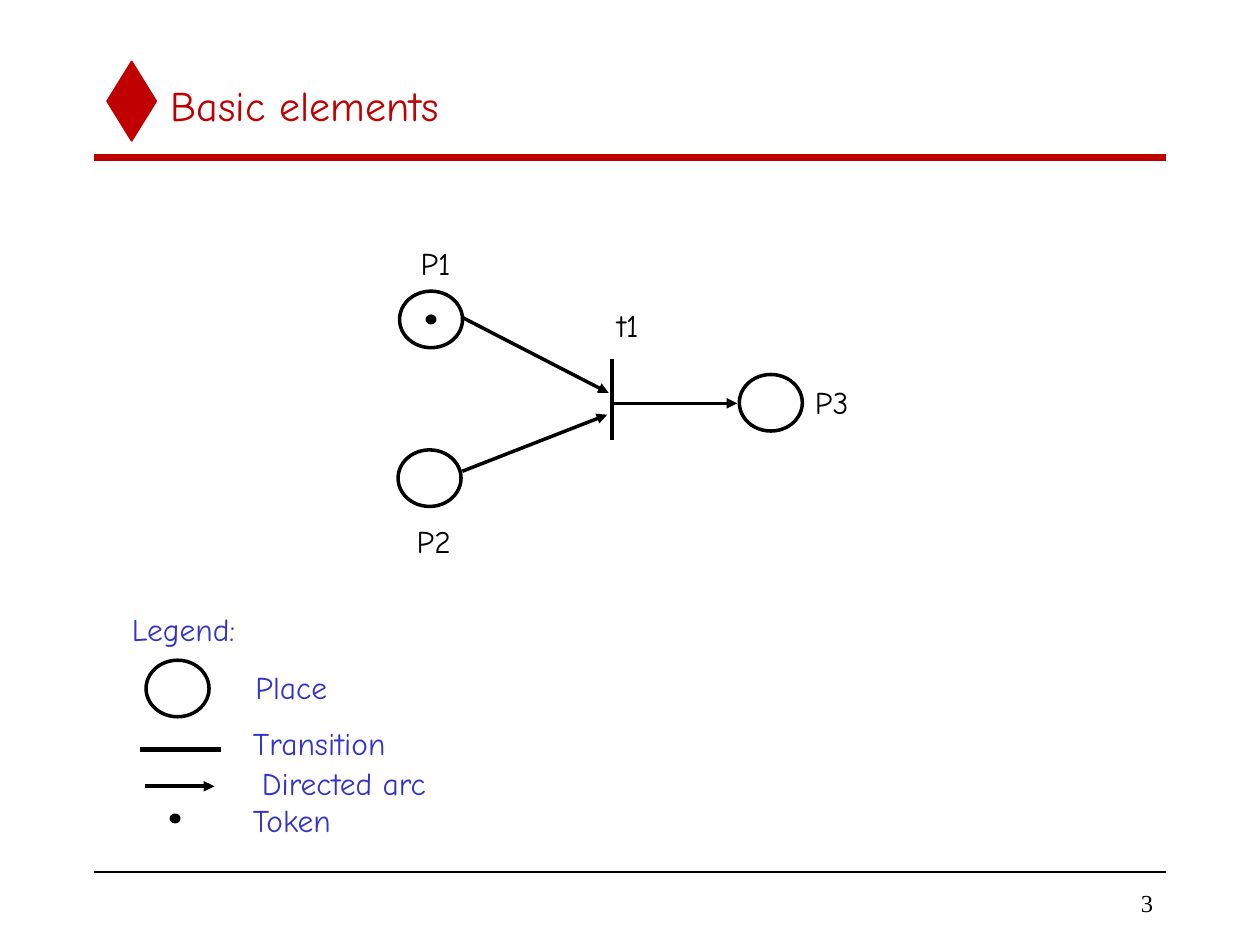
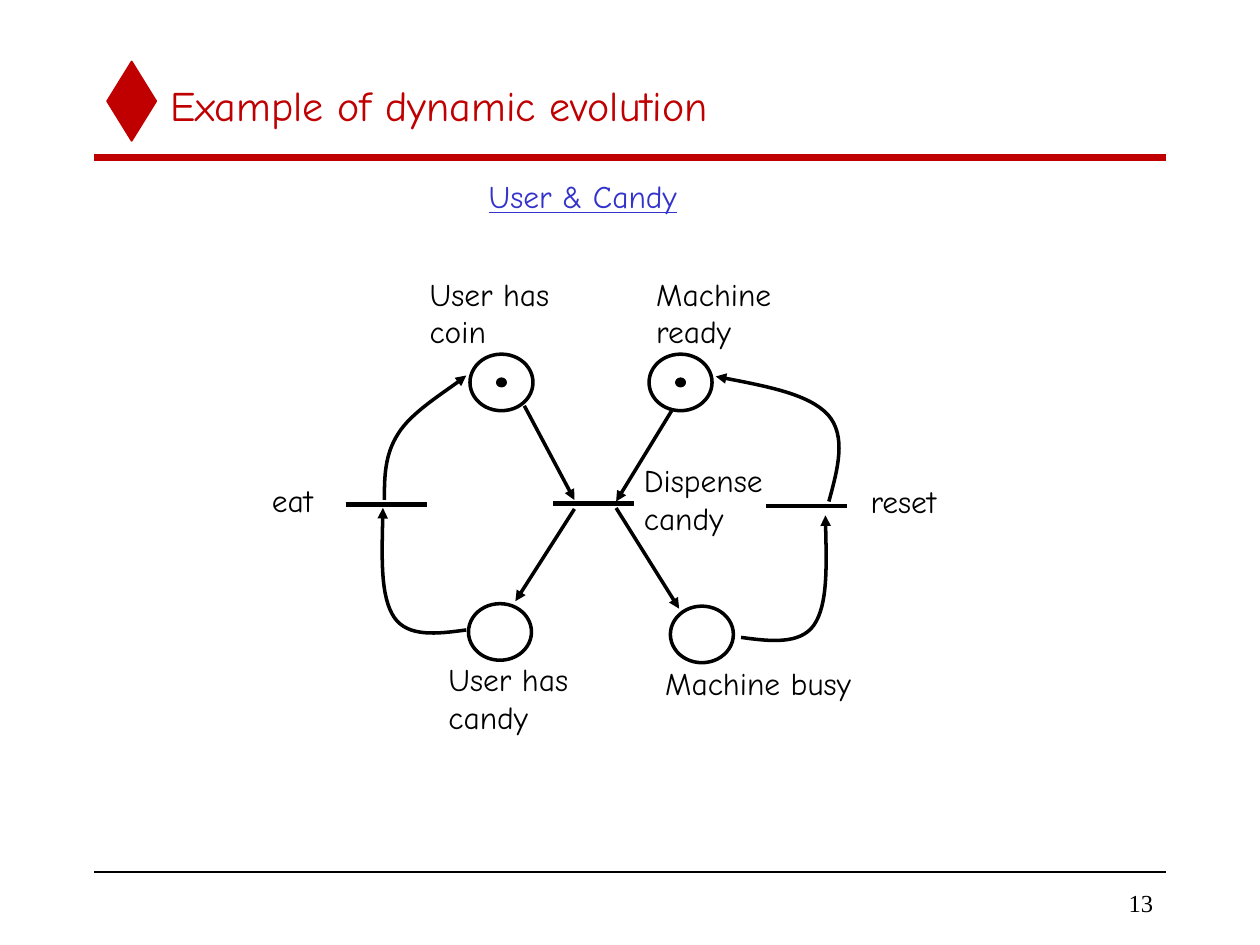
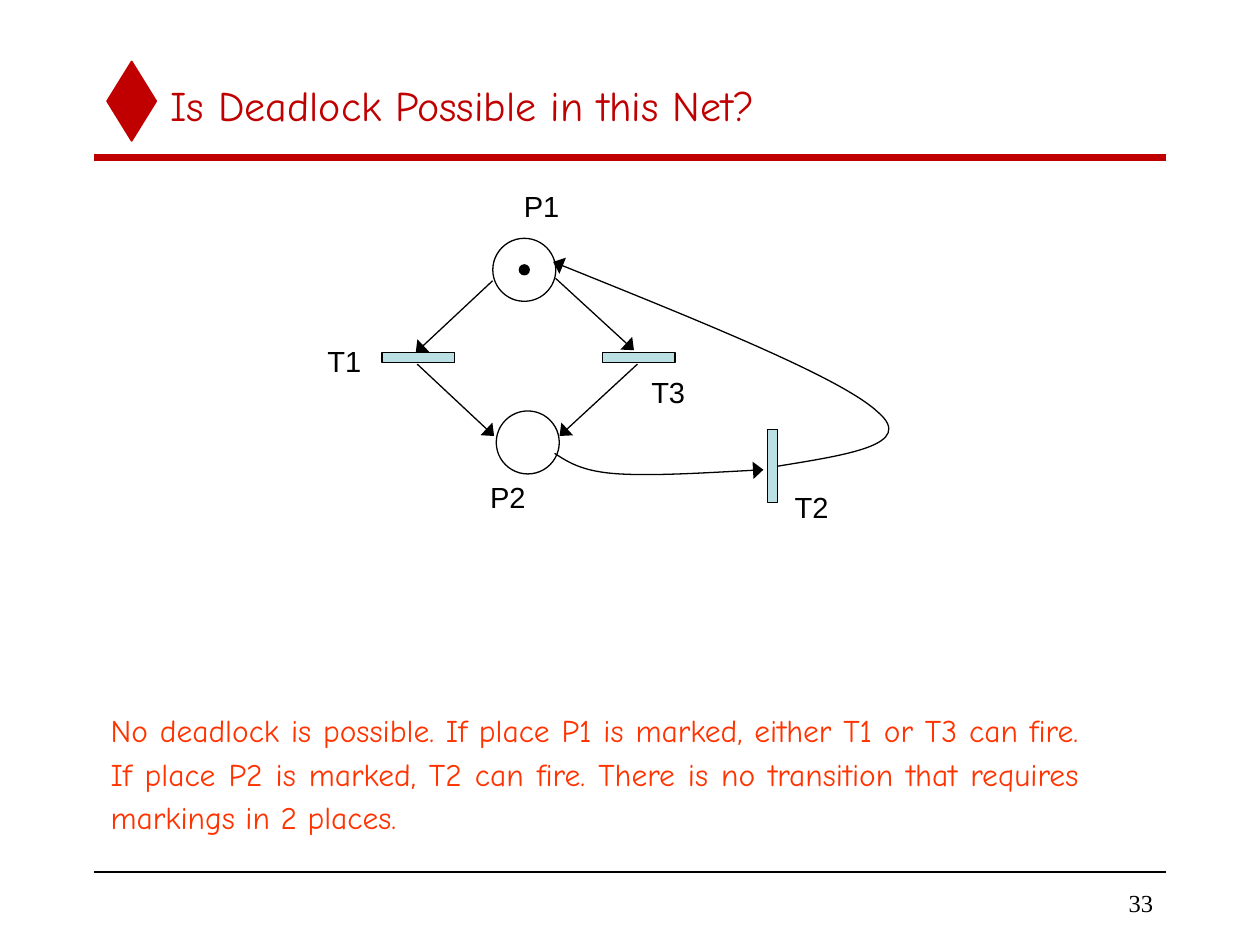
import lxml.etree
import pptx
import pptx.dml.color
import pptx.enum.shapes
import pptx.enum.text
import pptx.oxml.ns
import pptx.util

Cm = pptx.util.Cm
Pt = pptx.util.Pt
qn = pptx.oxml.ns.qn
SHAPE = pptx.enum.shapes.MSO_SHAPE
ALIGN = pptx.enum.text.PP_ALIGN
ANCHOR = pptx.enum.text.MSO_ANCHOR
FIT = pptx.enum.text.MSO_AUTO_SIZE

RED = "C00000"
BLUE = "3333CC"
BLACK = "000000"
ORANGE = "FF3300"
PALE_TEAL = "BBE0E3"

TITLE = {"name": "Comic Neue", "size": Pt(24)}
LABEL = {"name": "Comic Neue", "size": Pt(18)}
HEADING = {**LABEL, "underline": True}
NODE_LABEL = {"name": "Arial", "size": Pt(16.6)}
NUMBER = {"name": "Times New Roman", "size": Pt(14)}

LEFT = {"alignment": ALIGN.LEFT}
RIGHT = {"alignment": ALIGN.RIGHT}
NODE_PARAGRAPH = {"line_spacing": 1.05, "space_after": Pt(10)}
ANSWER_PARAGRAPH = {"alignment": ALIGN.JUSTIFY, "line_spacing": 1.15, "space_after": Pt(10)}

WRAP = {"word_wrap": True, "auto_size": FIT.NONE}
MIDDLE = {**WRAP, "vertical_anchor": ANCHOR.MIDDLE}

OVAL = {"size": (1.27, 1.14), "dot": (0.15, 0.13), "width": 2}
ROUND = {"size": (1.27, 1.27), "dot": (0.2, 0.2), "width": 0.75}
BAR_LONG, BAR_THICK = 1.47, 0.2
LABEL_SLACK = 0.4


def apply(target, formats):
    for key, value in formats.items():
        setattr(target, key, value)


def paint(color, value):
    color.rgb = pptx.dml.color.RGBColor.from_string(value)


def set_line(sp, color, width, arrow=False):
    paint(sp.line.color, color)
    sp.line.width = Pt(width)
    if arrow:
        ln = sp._element.spPr.find(qn("a:ln"))
        head_width = "lg" if width < 1 else "med"
        lxml.etree.SubElement(ln, qn("a:tailEnd"), type="triangle", w=head_width)


def write(sp, text, font, color, paragraph=LEFT, frame=WRAP):
    tf = sp.text_frame
    apply(tf, frame)
    for i, line in enumerate(text.split("\n")):
        p = tf.add_paragraph() if i else tf.paragraphs[0]
        apply(p, paragraph)
        r = p.add_run()
        r.text = line
        apply(r.font, font)
        paint(r.font.color, color)


def add_text(s, x, y, w, h, *args, **kwargs):
    sp = s.shapes.add_textbox(Cm(x), Cm(y), Cm(w), Cm(h))
    write(sp, *args, **kwargs)


def add_label(s, x, y, w, text, color=BLACK, font=LABEL):
    height = 0.26 + 0.76 * len(text.split("\n"))
    add_text(s, x, y, w + LABEL_SLACK, height, text, font, color)


def add_line(s, x1, y1, x2, y2, width=2, color=BLACK, arrow=False):
    line = s.shapes.add_connector(
        pptx.enum.shapes.MSO_CONNECTOR.STRAIGHT, Cm(x1), Cm(y1), Cm(x2), Cm(y2))
    set_line(line, color, width, arrow)
    lxml.etree.SubElement(line._element.spPr, qn("a:effectLst"))


def add_arc(s, x1, y1, x2, y2, width=2):
    add_line(s, x1, y1, x2, y2, width, arrow=True)


def add_curve(s, points, width=2):
    start, *rest = [(Cm(x), Cm(y)) for x, y in points]
    builder = s.shapes.build_freeform(*start, scale=1.0)
    builder.add_line_segments(rest, close=False)
    sp = builder.convert_to_shape()
    sp.shadow.inherit = False
    sp.fill.background()
    set_line(sp, BLACK, width, arrow=True)
    geometry = sp._element.xpath(".//a:path")[0]
    segments = geometry.findall(qn("a:lnTo"))
    for i in range(0, len(segments), 3):
        bezier = lxml.etree.SubElement(geometry, qn("a:cubicBezTo"))
        for segment in segments[i:i + 3]:
            bezier.append(segment[0])
            geometry.remove(segment)


def add_figure(s, kind, x, y, w, h, fill=None, line=BLACK, width=0.75):
    sp = s.shapes.add_shape(kind, Cm(x), Cm(y), Cm(w), Cm(h))
    sp.shadow.inherit = False
    if fill:
        sp.fill.solid()
        paint(sp.fill.fore_color, fill)
    else:
        sp.fill.background()
    set_line(sp, line, width)


def add_disc(s, cx, cy, size, width, fill=None):
    w, h = size
    add_figure(s, SHAPE.OVAL, cx - w / 2, cy - h / 2, w, h, fill, width=width)


def add_token(s, cx, cy, style=OVAL):
    add_disc(s, cx, cy, style["dot"], style["width"], BLACK)


def add_place(s, cx, cy, marked=False, style=OVAL):
    add_disc(s, cx, cy, style["size"], style["width"])
    if marked:
        add_token(s, cx, cy, style)


def add_slide(prs, title, number):
    s = prs.slides.add_slide(prs.slide_layouts[5])
    add_figure(s, SHAPE.DIAMOND, 2.16, 1.24, 0.99, 1.6, RED, RED, 1)
    add_line(s, 1.9, 3.17, 23.5, 3.17, 4, RED)
    add_line(s, 1.9, 17.58, 23.5, 17.58, 1)
    heading = s.shapes.title
    apply(heading, {"left": Cm(3.18), "top": Cm(1.27), "width": Cm(20.32), "height": Cm(1.7)})
    write(heading, title, TITLE, RED, frame=MIDDLE)
    add_text(s, 19.89, 17.78, 3.61, 0.84, number, NUMBER, BLACK, RIGHT, MIDDLE)
    return s


def add_elements_slide(prs):
    s = add_slide(prs, "Basic elements", "3")
    add_place(s, 8.69, 6.44, marked=True)
    add_place(s, 8.66, 9.64)
    add_place(s, 15.54, 8.12)
    add_line(s, 12.34, 7.24, 12.34, 8.86, 2.5)
    for arc in ((9.32, 6.4, 12.27, 7.92), (9.32, 9.5, 12.24, 8.36), (12.37, 8.13, 14.86, 8.13)):
        add_arc(s, *arc)
    for label in ((8.23, 4.8, 1.12, "P1"), (8.15, 10.39, 1.19, "P2"),
                  (16.18, 7.59, 1.17, "P3"), (12.19, 6.05, 0.94, "t1")):
        add_label(s, *label)

    add_place(s, 3.58, 13.88)
    add_line(s, 2.82, 15.11, 4.45, 15.11, 2.5)
    add_arc(s, 2.92, 15.85, 4.32, 15.85)
    add_token(s, 3.53, 16.5)
    for label in ((2.41, 12.17, 2.59, "Legend:"), (4.9, 13.34, 1.96, "Place"),
                  (4.85, 14.48, 3.18, "Transition"), (5.03, 15.27, 3.86, "Directed arc"),
                  (4.85, 16.03, 2.13, "Token")):
        add_label(s, *label, color=BLUE)


def add_candy_slide(prs):
    s = add_slide(prs, "Example of dynamic evolution", "13")
    add_label(s, 9.6, 3.45, 4.29, "User & Candy", BLUE, HEADING)
    for cx, cy, marked in ((10.11, 7.71, True), (13.72, 7.71, True),
                           (10.08, 12.74, False), (14.15, 12.79, False)):
        add_place(s, cx, cy, marked)
    for x, y in ((6.97, 10.17), (11.15, 10.15), (15.44, 10.2)):
        add_line(s, x, y, x + 1.63, y, 2.5)
    for arc in ((10.57, 8.18, 11.58, 10.08), (13.54, 8.28, 12.42, 10.11),
                (11.58, 10.26, 10.39, 12.12), (12.42, 10.24, 13.69, 12.27)):
        add_arc(s, *arc)
    candy_to_eat = ((9.4, 12.7), (8.81, 12.78), (8.23, 12.85), (7.95, 12.45),
                    (7.67, 12.04), (7.7, 11.15), (7.72, 10.24))
    eat_to_coin = ((7.75, 10.08), (7.75, 9.63), (7.75, 9.17), (8.03, 8.74),
                   (8.28, 8.33), (9.17, 7.77), (9.4, 7.57))
    busy_to_reset = ((14.94, 12.85), (15.52, 12.93), (16.13, 13), (16.41, 12.6),
                     (16.69, 12.19), (16.66, 11.28), (16.64, 10.39))
    reset_to_ready = ((16.71, 10.11), (16.89, 9.45), (17.07, 8.79), (16.69, 8.36),
                      (16.31, 7.95), (15.37, 7.77), (14.43, 7.59))
    for curve in (candy_to_eat, eat_to_coin, busy_to_reset, reset_to_ready):
        add_curve(s, curve)
    for label in ((8.41, 5.41, 2.92, "User has\ncoin"), (12.98, 5.41, 2.82, "Machine\nready"),
                  (8.79, 13.18, 2.92, "User has\ncandy"), (13.16, 13.26, 4.24, "Machine busy"),
                  (5.23, 9.58, 1.32, "eat"), (17.3, 9.6, 1.83, "reset"),
                  (12.73, 9.17, 2.9, "Dispense\ncandy")):
        add_label(s, *label)


def add_deadlock_slide(prs):
    s = add_slide(prs, "Is Deadlock Possible in this Net?", "33")
    add_place(s, 10.57, 5.44, True, ROUND)
    add_place(s, 10.64, 8.92, False, ROUND)
    for bar in ((7.7, 7.11, BAR_LONG, BAR_THICK), (12.14, 7.11, BAR_LONG, BAR_THICK),
                (15.47, 8.66, BAR_THICK, BAR_LONG)):
        add_figure(s, SHAPE.RECTANGLE, *bar, fill=PALE_TEAL)
    for arc in ((9.93, 5.66, 8.38, 7.11), (11.2, 5.61, 12.78, 7.06),
                (8.41, 7.34, 9.96, 8.79), (12.85, 7.34, 11.28, 8.79)):
        add_arc(s, *arc, width=0.75)
    p2_to_t2 = ((11.18, 9.14), (11.46, 9.32), (11.73, 9.5), (12.42, 9.55),
                (13.13, 9.6), (14.27, 9.53), (15.39, 9.47))
    t2_to_p1 = ((15.67, 9.4), (17.07, 9.17), (18.47, 8.97), (17.7, 8.31),
                (16.97, 7.62), (14.05, 6.45), (11.15, 5.28))
    for curve in (p2_to_t2, t2_to_p1):
        add_curve(s, curve, 0.75)
    for x, y, text in ((10.31, 3.63, "P1"), (9.63, 9.5, "P2"), (6.35, 6.76, "T1"),
                       (15.77, 9.7, "T2"), (12.88, 7.39, "T3")):
        add_text(s, x, y, 1.3, 1.02, text, NODE_LABEL, BLACK, NODE_PARAGRAPH)
    add_text(s, 1.98, 14.1, 20.02, 2.9,
             "No deadlock is possible. If place P1 is marked, either T1 or T3 can fire. "
             "If place P2 is marked, T2 can fire. There is no transition that requires "
             "markings in 2 places.",
             LABEL, ORANGE, ANSWER_PARAGRAPH)


def main():
    prs = pptx.Presentation()
    apply(prs, {"slide_width": Cm(25.4), "slide_height": Cm(19.05)})
    add_elements_slide(prs)
    add_candy_slide(prs)
    add_deadlock_slide(prs)
    prs.save("out.pptx")


if __name__ == "__main__":
    main()
